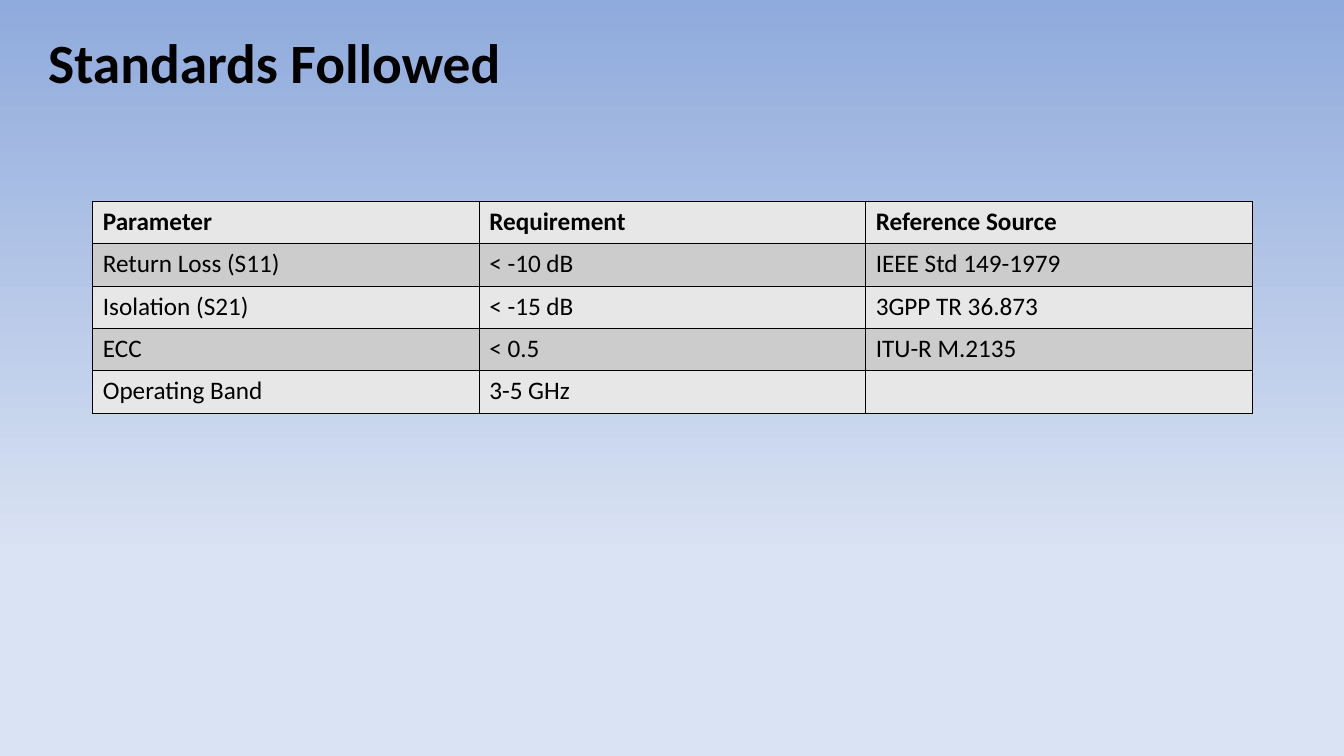
from pptx import Presentation
from pptx.dml.color import RGBColor as RGB
from pptx.enum.text import MSO_ANCHOR as Anchor
from pptx.oxml import parse_xml
from pptx.oxml.ns import nsdecls
from pptx.util import Inches, Pt

TITLE = "Standards Followed"
ROWS = [
    ("Parameter", "Requirement", "Reference Source"),
    ("Return Loss (S11)", "< -10 dB", "IEEE Std 149-1979"),
    ("Isolation (S21)", "< -15 dB", "3GPP TR 36.873"),
    ("ECC", "< 0.5", "ITU-R M.2135"),
    ("Operating Band", "3-5 GHz", ""),
]
HEX = {
    "ink": "000000",
    "light": "E7E7E7",
    "dark": "CCCCCC",
    "top": "8FAADC",
    "base": "DAE3F3",
}
FONT = "Calibri"
LEFT, TOP, WIDE, HIGH = 0.92, 2, 11.5, 0.42


def color(name):
    return RGB.from_string(HEX[name])


def write(frame, text, size=18, bold=False, space=None):
    para = frame.paragraphs[0]
    para.line_spacing = space
    para.font.size = Pt(size)
    if text:
        run = para.add_run()
        run.text = text
        font = run.font
        font.name, font.size, font.bold = FONT, Pt(size), bold
        font.color.rgb = color("ink")


def border(cell):
    props = cell._tc.get_or_add_tcPr()
    for spot, side in enumerate(("lnL", "lnR", "lnT", "lnB")):
        props.insert(spot, parse_xml(
            f'<a:{side} {nsdecls("a")} w="12700"><a:solidFill>'
            f'<a:srgbClr val="{HEX["ink"]}"/></a:solidFill></a:{side}>'))


def main():
    deck = Presentation()
    deck.slide_width, deck.slide_height = Inches(13.33), Inches(7.5)
    slide = deck.slides.add_slide(deck.slide_layouts[6])

    back = slide.background.fill
    back.gradient()
    back.gradient_angle = 270
    for stop, name, place in zip(back.gradient_stops, ("top", "base"), (0, 0.74)):
        stop.color.rgb = color(name)
        stop.position = place

    box = slide.shapes.add_textbox(
        Inches(0.38), Inches(0.28), Inches(12.04), Inches(0.74))
    frame = box.text_frame
    frame.word_wrap = True
    frame.vertical_anchor = Anchor.MIDDLE
    write(frame, TITLE, size=39.6, bold=True, space=0.9)

    count = len(ROWS[0])
    table = slide.shapes.add_table(
        len(ROWS), count, Inches(LEFT), Inches(TOP),
        Inches(WIDE), Inches(HIGH * len(ROWS))).table
    for col in table.columns:
        col.width = Inches(WIDE / count)
    for r, row in enumerate(ROWS):
        table.rows[r].height = Inches(HIGH)
        for c, text in enumerate(row):
            cell = table.cell(r, c)
            cell.fill.solid()
            cell.fill.fore_color.rgb = color("dark" if r % 2 else "light")
            border(cell)
            write(cell.text_frame, text, bold=r == 0)

    deck.save("out.pptx")


if __name__ == "__main__":
    main()
